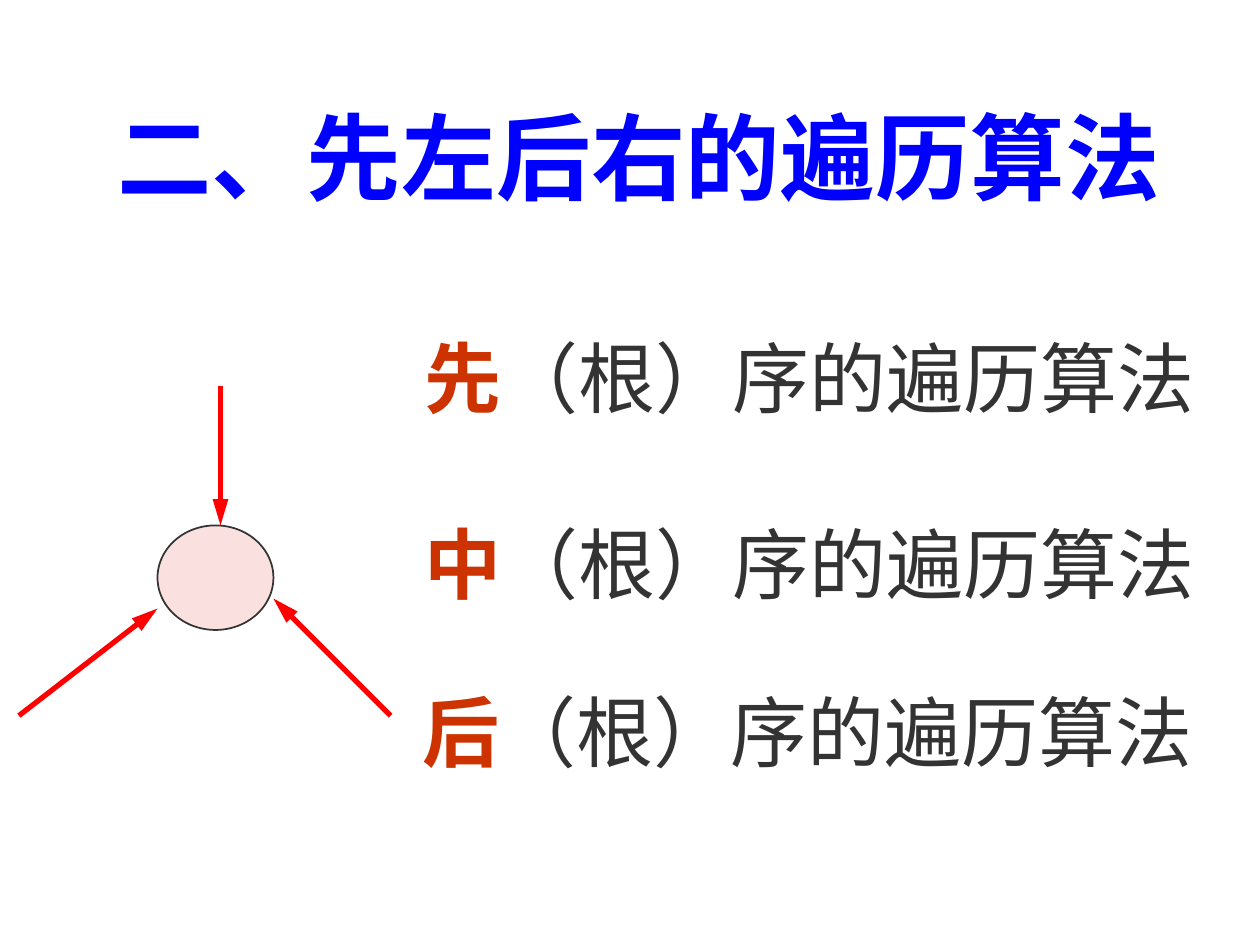
from lxml import etree
from pptx import Presentation, util as u
from pptx.dml.color import RGBColor
from pptx.enum import shapes, text
from pptx.oxml.ns import qn

FONT = "Noto Sans CJK SC"
Inches, Pt = u.Inches, u.Pt


def style(span, size, color, bold):
    span.font.name = FONT
    span.font.size = Pt(size)
    span.font.bold = bold
    span.font.color.rgb = RGBColor.from_string(color)
    etree.SubElement(span.font._element, qn("a:ea"), typeface=FONT)


def prepare_frame(box):
    """Top-anchored wrapping text with almost no margins."""
    frame = box.text_frame
    frame.word_wrap = True
    frame.auto_size = text.MSO_AUTO_SIZE.NONE
    frame.vertical_anchor = text.MSO_ANCHOR.TOP
    frame.margin_left = frame.margin_right = frame.margin_bottom = 0
    frame.margin_top = Inches(0.01)
    return frame


deck = Presentation()
deck.slide_width, deck.slide_height = Inches(10), Inches(7.5)
page = deck.slides.add_slide(deck.slide_layouts[5])

# Title
title = page.shapes.title
title.left, title.top = Inches(0.92), Inches(0.77)
title.width, title.height = Inches(8.32), Inches(0.93)
frame = prepare_frame(title)
frame.text = "二、先左后右的遍历算法"
para = frame.paragraphs[0]
para.alignment = text.PP_ALIGN.LEFT
para.line_spacing = Pt(65)
para._p.get_or_add_pPr().set("marL", str(Inches(0.01)))
style(para.runs[0], 54, "0000FF", True)
para.runs[0].font._element.set("spc", "20")

# The three traversal orders: name, line height, space before, indent
orders = [("先", 53, 0, 0.03), ("中", 96, 10.4, 0.03), ("后", 96, 0, 0.01)]
box = page.shapes.add_textbox(Inches(3.34), Inches(2.61), Inches(6.16), Inches(3.43))
frame = prepare_frame(box)
for i, (order, height, before, indent) in enumerate(orders):
    para = frame.add_paragraph() if i else frame.paragraphs[0]
    para.line_spacing = Pt(height)
    para.space_before = Pt(before)
    para._p.get_or_add_pPr().set("marL", str(Inches(indent)))
    for words, color, bold in [(order, "CC3300", True), ("（根）序的遍历算法", "333333", False)]:
        span = para.add_run()
        span.text = words
        style(span, 44, color, bold)

# Root node
root = page.shapes.add_shape(
    shapes.MSO_SHAPE.OVAL, Inches(1.25), Inches(4.17), Inches(0.92), Inches(0.83))
root.shadow.inherit = False
root.fill.solid()
root.fill.fore_color.rgb = RGBColor.from_string("FAE1DF")
root.line.color.rgb = RGBColor.from_string("333333")
root.line.width = Pt(1)

# Arrows pointing at the root
for ends in [(1.75, 3.06, 1.75, 4.17), (0.15, 5.68, 1.25, 4.83), (3.1, 5.68, 2.17, 4.75)]:
    arrow = page.shapes.add_connector(
        shapes.MSO_CONNECTOR.STRAIGHT, *[Inches(value) for value in ends])
    arrow.line.color.rgb = RGBColor.from_string("FF0000")
    arrow.line.width = Pt(3)
    etree.SubElement(arrow.line._get_or_add_ln(), qn("a:tailEnd"),
                     type="triangle", w="med", len="lg")
    etree.SubElement(arrow._element.spPr, qn("a:effectLst"))

deck.save("out.pptx")
